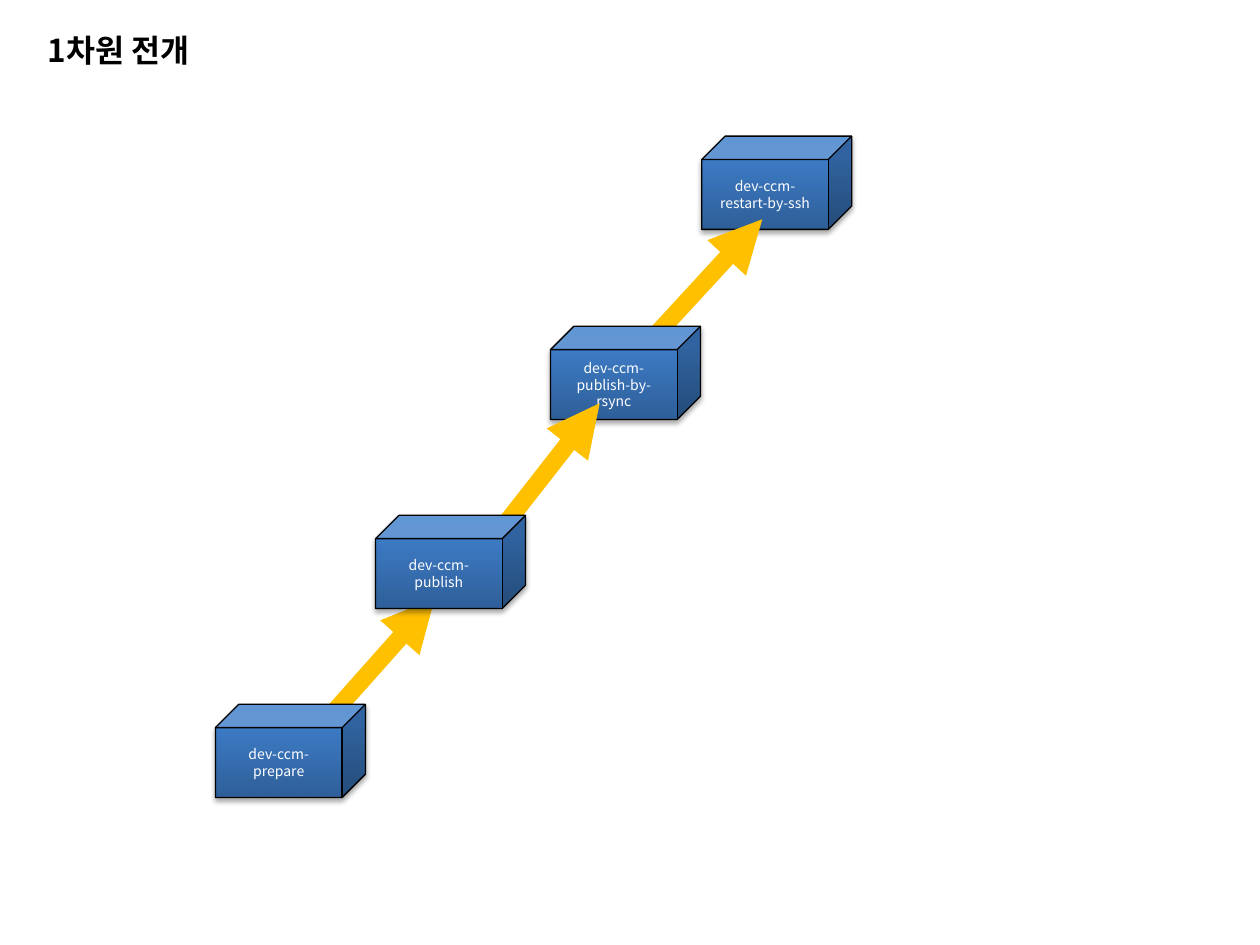
from dataclasses import dataclass

from lxml import etree
from pptx import Presentation
from pptx import oxml
from pptx import util as u
from pptx.dml.color import RGBColor
from pptx.enum import shapes, text
from pptx.oxml import ns

FONT = "Noto Sans CJK KR"
COLORS = {
    "title": "000000",
    "label": "FFFFFF",
    "outline": "000000",
    "arrow": "FFC000",
    "shadow": "000000",
    "base": "2F5F99",
    "upper": "3D7CC7",
    "top": "3A7CCB",
}
GRADIENT = ((0, "base"), (80, "upper"), (100, "top"))
CUBE_WIDTH, CUBE_HEIGHT = 85.7, 53.3


@dataclass(frozen=True)
class Stage:
    label: str
    left: float
    top: float


@dataclass(frozen=True)
class Arrow:
    start: tuple[float, float]
    end: tuple[float, float]


LAYERS = (
    Stage("dev-ccm-restart-by-ssh", 401, 77.8),
    Arrow((360, 207.4), (435.6, 125.3)),
    Stage("dev-ccm-publish-by-rsync", 314.6, 186.5),
    Arrow((180, 419), (248.4, 342)),
    Stage("dev-ccm-prepare", 123.1, 402.5),
    Arrow((280.8, 309.6), (342.7, 230.4)),
    Stage("dev-ccm-publish", 214.6, 294.5),
)


def color(name: str) -> RGBColor:
    return RGBColor.from_string(COLORS[name])


def add_xml(parent, markup: str) -> None:
    head, rest = markup.split(">", 1) if not markup.endswith("/>") else (markup[:-2], None)
    declaration = f" {ns.nsdecls('a')}"
    full = f"{head}{declaration}/>" if rest is None else f"{head}{declaration}>{rest}"
    parent.append(oxml.parse_xml(full))


def write_text(frame, content: str, *, size: float, tone: str,
               bold: bool = False, align=text.PP_ALIGN.LEFT) -> None:
    para = frame.paragraphs[0]
    para.alignment = align
    span = para.add_run()
    span.text = content
    span.font.size = u.Pt(size)
    span.font.bold = bold
    span.font.color.rgb = color(tone)
    span.font.name = FONT
    east_asian = etree.SubElement(span.font._element, ns.qn("a:ea"))
    east_asian.set("typeface", FONT)


def draw_stage(page, stage: Stage) -> None:
    cube = page.shapes.add_shape(
        shapes.MSO_SHAPE.CUBE, u.Pt(stage.left), u.Pt(stage.top),
        u.Pt(CUBE_WIDTH), u.Pt(CUBE_HEIGHT))
    properties = cube._element.spPr
    stops = "".join(
        f'<a:gs pos="{position * 1000}"><a:srgbClr val="{COLORS[name]}"/></a:gs>'
        for position, name in GRADIENT)
    add_xml(properties, f'<a:gradFill rotWithShape="1"><a:gsLst>{stops}</a:gsLst>'
                        '<a:lin ang="16200000" scaled="0"/></a:gradFill>')
    cube.line.color.rgb = color("outline")
    cube.line.width = u.Pt(0.75)
    add_xml(properties, f'<a:effectLst><a:outerShdw blurRad="{u.Pt(3.1)}" dist="{u.Pt(1.8)}" '
                        'dir="5400000" rotWithShape="0">'
                        f'<a:srgbClr val="{COLORS["shadow"]}"><a:alpha val="35000"/></a:srgbClr>'
                        '</a:outerShdw></a:effectLst>')
    cube.text_frame.word_wrap = True
    cube.text_frame.vertical_anchor = text.MSO_ANCHOR.MIDDLE
    write_text(cube.text_frame, stage.label, size=8, tone="label",
               align=text.PP_ALIGN.CENTER)


def draw_arrow(page, arrow: Arrow) -> None:
    points = (u.Pt(value) for value in (*arrow.start, *arrow.end))
    connector = page.shapes.add_connector(shapes.MSO_CONNECTOR.STRAIGHT, *points)
    connector.line.color.rgb = color("arrow")
    connector.line.width = u.Pt(10)
    add_xml(connector.line._get_or_add_ln(), '<a:tailEnd type="triangle"/>')
    add_xml(connector._element.spPr, "<a:effectLst/>")


def draw_title(page, content: str) -> None:
    box = page.shapes.add_textbox(u.Pt(20.2), u.Pt(14.4), u.Pt(104.4), u.Pt(28.8))
    box.text_frame.word_wrap = False
    box.text_frame.auto_size = text.MSO_AUTO_SIZE.SHAPE_TO_FIT_TEXT
    write_text(box.text_frame, content, size=18, tone="title", bold=True)


def main() -> None:
    deck = Presentation()
    deck.slide_width, deck.slide_height = u.Pt(720), u.Pt(540)
    page = deck.slides.add_slide(deck.slide_layouts[6])
    for layer in LAYERS:
        if isinstance(layer, Stage):
            draw_stage(page, layer)
        else:
            draw_arrow(page, layer)
    draw_title(page, "1차원 전개")
    deck.save("out.pptx")


if __name__ == "__main__":
    main()
